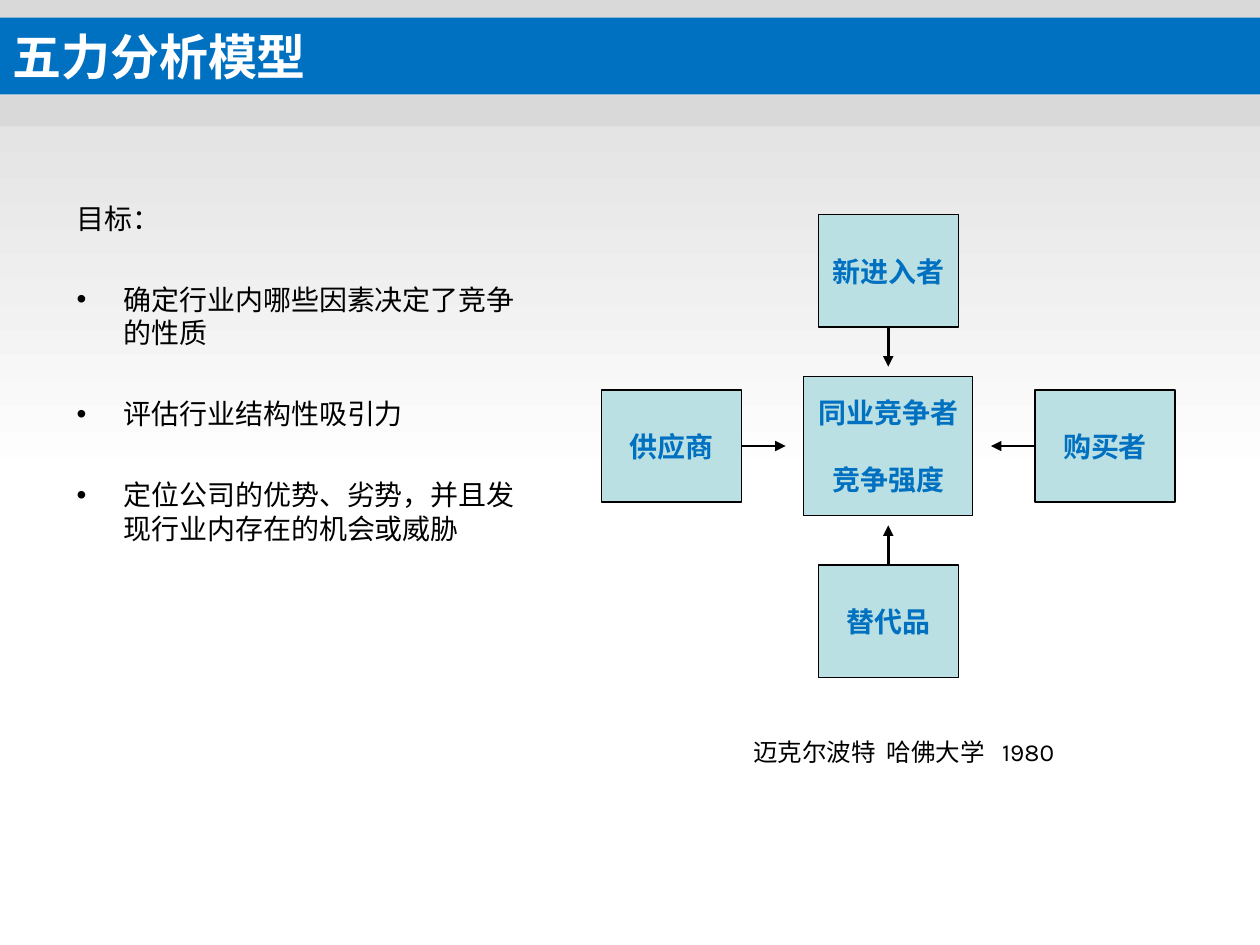
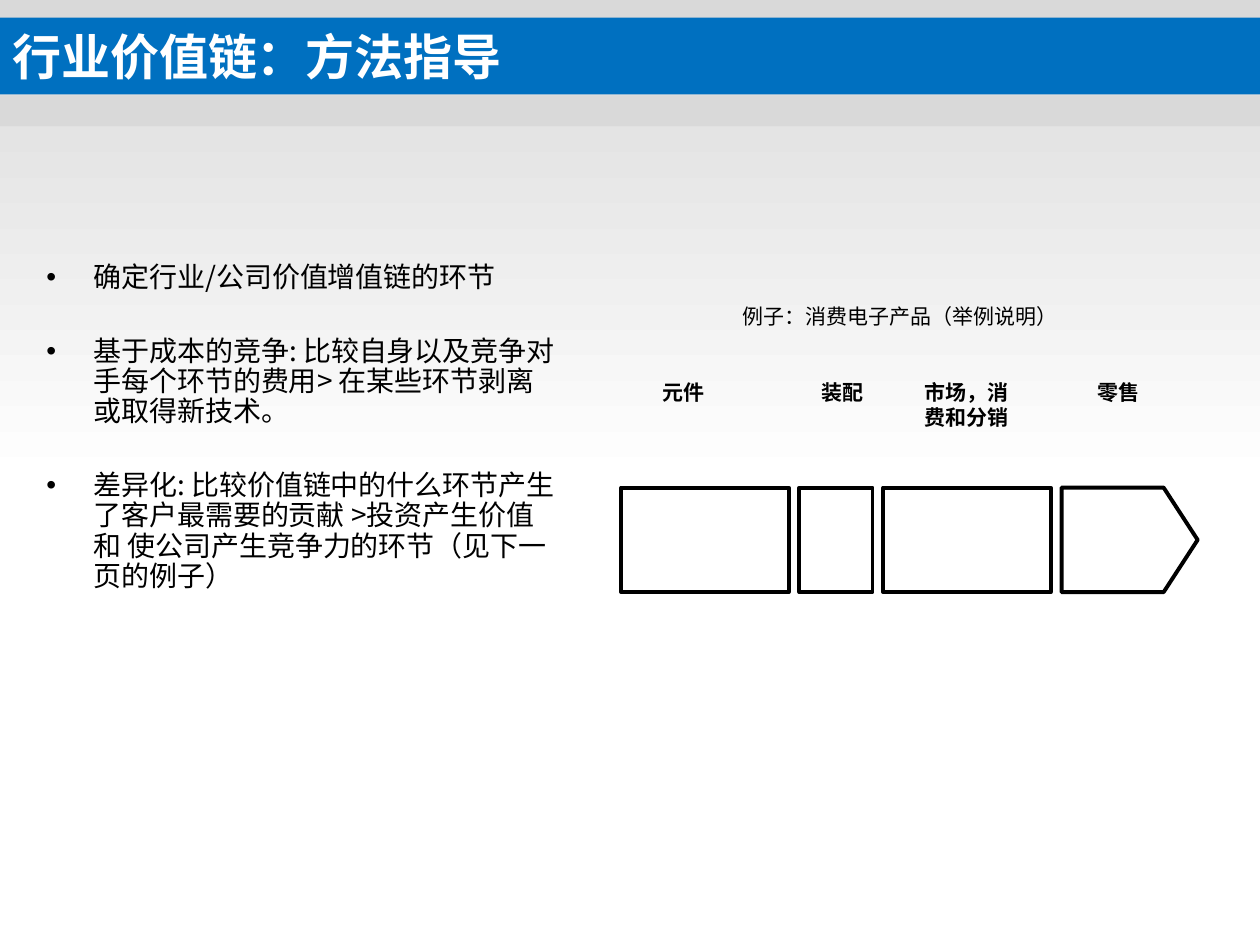
import pptx
import pptx.util
import pptx.dml.color
import pptx.enum.shapes
import pptx.enum.text
import pptx.oxml.ns
from lxml import etree

RGB = pptx.dml.color.RGBColor
BLACK = RGB(0x00, 0x00, 0x00)
WHITE = RGB(0xFF, 0xFF, 0xFF)
GREY = RGB(0xD9, 0xD9, 0xD9)
BLUE = RGB(0x00, 0x70, 0xC0)
TEAL = RGB(0xBB, 0xE0, 0xE3)
LATIN = "Arial"
CJK = "Noto Sans CJK SC"
CREDIT = "Karla"
COLS, ROWS = 100, 75
RECT = pptx.enum.shapes.MSO_SHAPE.RECTANGLE
STRAIGHT = pptx.enum.shapes.MSO_CONNECTOR.STRAIGHT
LEFT = pptx.enum.text.PP_ALIGN.LEFT
CENTER = pptx.enum.text.PP_ALIGN.CENTER
TOP = pptx.enum.text.MSO_ANCHOR.TOP
MIDDLE = pptx.enum.text.MSO_ANCHOR.MIDDLE


def add_xml(parent, tag, **attrs):
    return etree.SubElement(parent, pptx.oxml.ns.qn(tag), **attrs)


class Deck:
    def __init__(self):
        self.prs = pptx.Presentation()
        self.prs.slide_width = pptx.util.Inches(10)
        self.prs.slide_height = pptx.util.Inches(7.5)
        self.s = None

    def x(self, cols):
        return round(self.prs.slide_width * cols / COLS)

    def y(self, rows):
        return round(self.prs.slide_height * rows / ROWS)

    def area(self, left, top, width, height):
        return self.x(left), self.y(top), self.x(width), self.y(height)

    def slide(self, title):
        self.s = self.prs.slides.add_slide(self.prs.slide_layouts[6])
        fade = self.box(0, 0, COLS, 38.3).fill
        fade.gradient()
        fade.gradient_angle = 270
        for stop, color, position in zip(fade.gradient_stops, (GREY, WHITE), (0, 1)):
            stop.color.rgb = color
            stop.position = position
        self.box(0, 7.6, COLS, 2.4, GREY)
        band = self.box(0, 1.4, COLS, 6.1, BLUE)
        self.fill_text(band, [title], 28, LATIN, WHITE, bold=True, anchor=MIDDLE)

    def style(self, sp, fill, line):
        sp.shadow.inherit = False
        if fill is None:
            sp.fill.background()
        else:
            sp.fill.solid()
            sp.fill.fore_color.rgb = fill
        if line:
            sp.line.color.rgb = BLACK
            sp.line.width = pptx.util.Pt(line)
        else:
            sp.line.fill.background()
        return sp

    def box(self, left, top, width, height, fill=None, line=0):
        sp = self.s.shapes.add_shape(RECT, *self.area(left, top, width, height))
        return self.style(sp, fill, line)

    def outline(self, points, line):
        corners = [(self.x(col), self.y(row)) for col, row in points]
        fb = self.s.shapes.build_freeform(*corners[0])
        fb.add_line_segments(corners[1:], close=True)
        return self.style(fb.convert_to_shape(), None, line)

    def arrow(self, x1, y1, x2, y2):
        cn = self.s.shapes.add_connector(
            STRAIGHT, self.x(x1), self.y(y1), self.x(x2), self.y(y2))
        cn.line.color.rgb = BLACK
        cn.line.width = pptx.util.Pt(1.5)
        add_xml(cn.line._get_or_add_ln(), "a:tailEnd", type="triangle")
        add_xml(cn._element.spPr, "a:effectLst")

    def text(self, left, top, width, height, paragraphs, size, font, **options):
        sp = self.s.shapes.add_textbox(*self.area(left, top, width, height))
        self.fill_text(sp, paragraphs, size, font, BLACK, **options)

    def fill_text(self, sp, paragraphs, size, font, color, bold=False, align=LEFT,
                  anchor=TOP, gap=0, spacing=None, bullets_from=None, tabs=()):
        tf = sp.text_frame
        tf.word_wrap = True
        tf.vertical_anchor = anchor
        for i, words in enumerate(paragraphs):
            p = tf.add_paragraph() if i else tf.paragraphs[0]
            p.alignment = align
            if bullets_from is not None and i >= bullets_from:
                self.bullet(p)
            if tabs:
                stops = add_xml(p._p.get_or_add_pPr(), "a:tabLst")
                for col in tabs:
                    add_xml(stops, "a:tab", pos=str(self.x(col)), algn="l")
            if i:
                p.space_before = pptx.util.Pt(gap)
            if spacing:
                p.line_spacing = spacing
            r = p.add_run()
            r.text = words
            r.font.name = font
            r.font.size = pptx.util.Pt(size)
            r.font.bold = bold
            r.font.color.rgb = color

    def bullet(self, p):
        pPr = p._p.get_or_add_pPr()
        hang = self.x(3.75)
        pPr.set("marL", str(hang))
        pPr.set("indent", str(-hang))
        add_xml(add_xml(pPr, "a:buClr"), "a:srgbClr", val=str(BLACK))
        add_xml(pPr, "a:buFont", typeface=LATIN)
        add_xml(pPr, "a:buChar", char="•")


def five_forces(deck):
    deck.slide("五力分析模型")
    goals = ["目标：", "确定行业内哪些因素决定了竞争的性质", "评估行业结构性吸引力",
             "定位公司的优势、劣势，并且发现行业内存在的机会或威胁"]
    deck.text(5.1, 15.5, 37.1, 44.1, goals, 16, LATIN, gap=27, bullets_from=1)

    mid_x, mid_y = 70.5, 35.4

    def force(x, y, width, height, words):
        sp = deck.box(x - width / 2, y - height / 2, width, height, TEAL, 0.75)
        deck.fill_text(sp, words, 16, CJK, BLUE, bold=True, align=CENTER,
                       anchor=MIDDLE, gap=19)

    force(mid_x, mid_y, 13.4, 11, ["同业竞争者", "竞争强度"])
    width, height = 11.1, 8.9
    reach_x, reach_y = 17.2, 13.9
    tip_x, tip_y = 8.15, 6.3
    for name, dx, dy in [("供应商", -1, 0), ("购买者", 1, 0),
                         ("新进入者", 0, -1), ("替代品", 0, 1)]:
        force(mid_x + dx * reach_x, mid_y + dy * reach_y, width, height, [name])
        deck.arrow(mid_x + dx * (reach_x - width / 2),
                   mid_y + dy * (reach_y - height / 2),
                   mid_x + dx * tip_x, mid_y + dy * tip_y)
    deck.text(58.8, 58, 28, 3.4, ["迈克尔波特\t哈佛大学\t1980"], 14, CREDIT,
              tabs=(10.6, 19.75))


def value_chain(deck):
    deck.slide("行业价值链：方法指导")
    steps = ["确定行业/公司价值增值链的环节",
             "基于成本的竞争: 比较自身以及竞争对手每个环节的费用> 在某些环节剥离或取得新技术。",
             "差异化: 比较价值链中的什么环节产生了客户最需要的贡献 >投资产生价值和 使公司产生竞争力的环节（见下一页的例子）"]
    deck.text(2.7, 20.4, 42.5, 51, steps, 16, CJK, gap=25, spacing=0.9,
              bullets_from=0)
    deck.text(47.3, 23.6, 48.3, 6.1, ["例子：消费电子产品（举例说明）"], 12, CJK,
              align=CENTER)

    left, top, height, gap, line = 49.3, 38.7, 8.3, 0.85, 2.25
    stages = [("元件", 13.3, 47.6, 13.3), ("装配", 5.8, 60.2, 13.3),
              ("市场，消费和分销", 13.3, 72, 9.4), ("零售", 10.8, 82.7, 12.2)]
    for i, (name, width, label_left, label_width) in enumerate(stages):
        if i < len(stages) - 1:
            deck.box(left, top, width, height, line=line)
        else:
            neck, bottom = left + width * 0.75, top + height
            deck.outline([(left, top), (neck, top), (left + width, top + height / 2),
                          (neck, bottom), (left, bottom)], line)
        deck.text(label_left, 29.6, label_width, 5, [name], 12, CJK, bold=True,
                  align=CENTER)
        left += width + gap


def main():
    deck = Deck()
    five_forces(deck)
    value_chain(deck)
    deck.prs.save("out.pptx")


if __name__ == "__main__":
    main()
